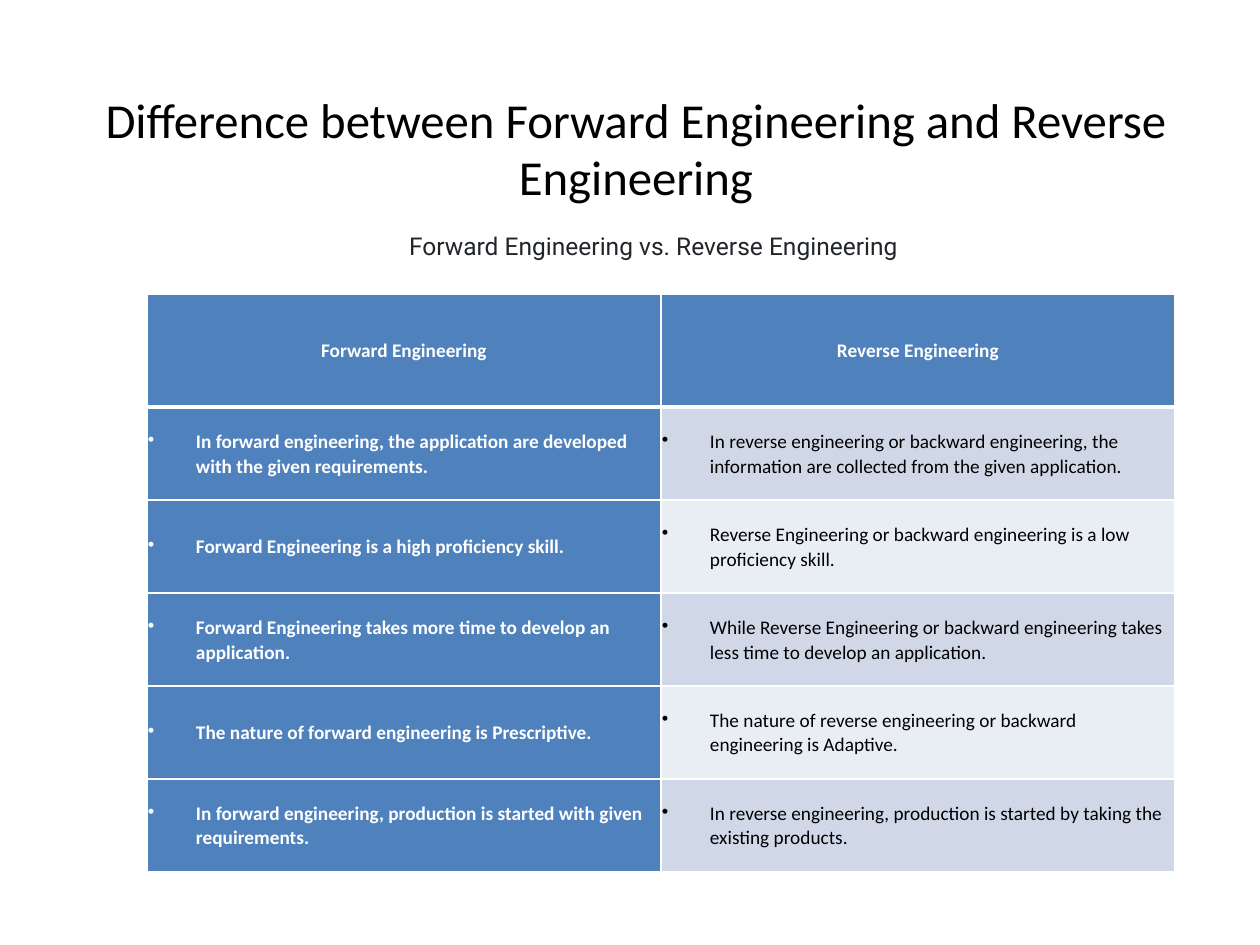
import pptx
import pptx.dml.color
import pptx.enum.shapes
import pptx.enum.text
import pptx.oxml.ns
import pptx.util
from lxml import etree

ANCHOR = pptx.enum.text.MSO_ANCHOR
ALIGN = pptx.enum.text.PP_ALIGN
WHITE, BLACK, BLUE = "FFFFFF", "000000", "4F81BD"
BANDS = ["D0D8E8", "E9EDF4"]
HEADINGS = ["Forward Engineering", "Reverse Engineering"]
COMPARISONS = [
    ("In forward engineering, the application are developed with the given requirements.",
     "In reverse engineering or backward engineering, the information are collected from the given application."),
    ("Forward Engineering is a high proficiency skill.",
     "Reverse Engineering or backward engineering is a low proficiency skill."),
    ("Forward Engineering takes more time to develop an application.",
     "While Reverse Engineering or backward engineering takes less time to develop an application."),
    ("The nature of forward engineering is Prescriptive.",
     "The nature of reverse engineering or backward engineering is Adaptive."),
    ("In forward engineering, production is started with given requirements.",
     "In reverse engineering, production is started by taking the existing products."),
]


def px(length):
    """Turn whole pixels into EMU."""
    return pptx.util.Emu(round(length * 914400 / 126))


def color(value):
    """Turn a hex string into a colour."""
    return pptx.dml.color.RGBColor.from_string(value)


def add_run(paragraph, text, size, font, hex_color, bold=False):
    """Add one formatted run to a paragraph."""
    run = paragraph.add_run()
    run.text = text
    run.font.size = pptx.util.Pt(size)
    run.font.name = font
    run.font.bold = bold
    run.font.color.rgb = color(hex_color)


def set_margins(target, margin):
    """Give a cell or text frame the same margin on every side."""
    for side in ("left", "right", "top", "bottom"):
        setattr(target, f"margin_{side}", px(margin))


def add_title(slide, left, top, width, height):
    """Place the centred slide title."""
    frame = slide.shapes.add_textbox(px(left), px(top), px(width), px(height)).text_frame
    frame.word_wrap = True
    frame.vertical_anchor = ANCHOR.MIDDLE
    paragraph = frame.paragraphs[0]
    paragraph.alignment = ALIGN.CENTER
    paragraph.line_spacing = 0.97
    add_run(paragraph, "Difference between Forward Engineering and Reverse Engineering",
            27.9, "Calibri", BLACK)


def add_subtitle(slide, left, top, width, height):
    """Place the caption on its white band."""
    shape = slide.shapes.add_shape(pptx.enum.shapes.MSO_SHAPE.RECTANGLE,
                                   px(left), px(top), px(width), px(height))
    shape.shadow.inherit = False
    shape.fill.solid()
    shape.fill.fore_color.rgb = color(WHITE)
    shape.line.fill.background()
    frame = shape.text_frame
    frame.word_wrap = False
    frame.vertical_anchor = ANCHOR.TOP
    set_margins(frame, 0)
    paragraph = frame.paragraphs[0]
    paragraph.alignment = ALIGN.LEFT
    add_run(paragraph, "Forward Engineering vs. Reverse Engineering", 14, "Roboto", "212529")


def add_borders(cell, top, bottom):
    """Draw white cell borders with the given top and bottom widths in points."""
    properties = cell._tc.get_or_add_tcPr()
    for side, width in (("L", 1), ("R", 1), ("T", top), ("B", bottom)):
        line = etree.SubElement(properties, pptx.oxml.ns.qn(f"a:ln{side}"),
                                w=str(pptx.util.Pt(width)))
        fill = etree.SubElement(line, pptx.oxml.ns.qn("a:solidFill"))
        etree.SubElement(fill, pptx.oxml.ns.qn("a:srgbClr"), val=WHITE)


def add_bullet(paragraph):
    """Give a paragraph a hanging bullet and a tab stop."""
    properties = paragraph._p.get_or_add_pPr()
    properties.set("marL", str(px(48)))
    properties.set("indent", str(px(-48)))
    etree.SubElement(properties, pptx.oxml.ns.qn("a:buChar"), char="•")
    tabs = etree.SubElement(properties, pptx.oxml.ns.qn("a:tabLst"))
    etree.SubElement(tabs, pptx.oxml.ns.qn("a:tab"), pos=str(px(63)), algn="l")


def fill_cell(cell, text, row, column):
    """Write and style one cell according to its place in the table."""
    is_header = row == 0
    is_strong = is_header or column == 0
    add_borders(cell, 3 if row == 1 else 1, 3 if is_header else 1)
    cell.fill.solid()
    cell.fill.fore_color.rgb = color(BLUE if is_strong else BANDS[(row - 1) % 2])
    cell.vertical_anchor = ANCHOR.MIDDLE
    set_margins(cell, 1)
    paragraph = cell.text_frame.paragraphs[0]
    if is_header:
        paragraph.alignment = ALIGN.CENTER
    else:
        add_bullet(paragraph)
        paragraph.space_after = pptx.util.Pt(8)
    paragraph.line_spacing = 1.05
    add_run(paragraph, text, 11, "Calibri", WHITE if is_strong else BLACK, is_strong)


def add_comparison(slide, left, top, width, height):
    """Place the comparison table with a taller header row."""
    rows = [HEADINGS, *COMPARISONS]
    table = slide.shapes.add_table(len(rows), len(HEADINGS),
                                   px(left), px(top), px(width), px(height)).table
    header_height = 113
    for column in table.columns:
        column.width = px(width // len(HEADINGS))
    for index, row in enumerate(table.rows):
        row.height = px((height - header_height) // len(COMPARISONS) if index else header_height)
    for row, texts in enumerate(rows):
        for column, text in enumerate(texts):
            fill_cell(table.cell(row, column), text, row, column)


def main():
    """Build and save the slide."""
    presentation = pptx.Presentation()
    presentation.slide_width = px(1260)
    presentation.slide_height = px(945)
    slide = presentation.slides.add_slide(presentation.slide_layouts[6])
    add_title(slide, 64, 58, 1144, 184)
    add_comparison(slide, 147, 294, 1028, 578)
    add_subtitle(slide, 409, 231, 851, 63)
    presentation.save("out.pptx")


if __name__ == "__main__":
    main()
